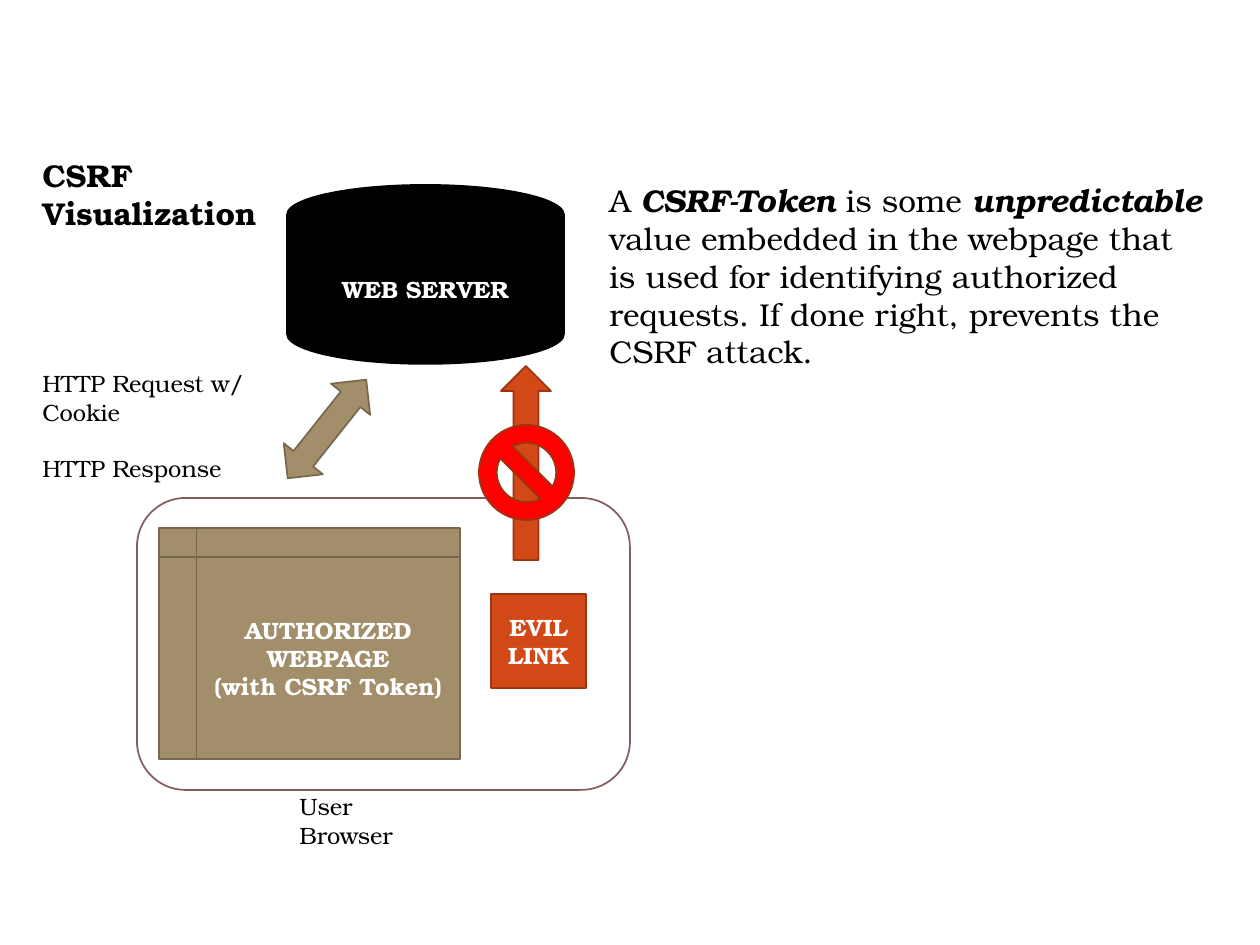
from dataclasses import dataclass

from pptx import Presentation
from pptx.dml.color import RGBColor
from pptx.enum.shapes import MSO_SHAPE as Shape
from pptx.enum.text import MSO_ANCHOR as Anchor, PP_ALIGN as Align
from pptx.util import Emu, Pt

PX_PER_INCH = 126


@dataclass(frozen=True)
class Theme:
    """Colours, font and type sizes of the slide."""
    font: str = "TeX Gyre Bonum"
    body: float = 13.5
    large: float = 18
    paragraph_gap: float = 16
    outline: float = 1
    black: str = "000000"
    white: str = "FFFFFF"
    tan: str = "A28E6A"
    tan_edge: str = "78694E"
    orange: str = "D34817"
    orange_edge: str = "9C3511"
    red: str = "FF0000"
    browser_edge: str = "855D5D"


THEME = Theme()
BOLD = {"bold": True}
TERM = {"bold": True, "italic": True}


def px(length):
    """Turn pixels into EMU."""
    return Emu(round(length * 914400 / PX_PER_INCH))


def write(frame, paragraphs, size, color, align=Align.LEFT):
    """Fill a text frame with paragraphs of (text, format) runs."""
    frame.word_wrap = True
    for index, runs in enumerate(paragraphs):
        paragraph = frame.add_paragraph() if index else frame.paragraphs[0]
        paragraph.alignment = align
        for text, style in runs:
            run = paragraph.add_run()
            run.text = text
            values = {"name": THEME.font, "size": Pt(size), **style}
            for key, value in values.items():
                setattr(run.font, key, value)
            run.font.color.rgb = RGBColor.from_string(color)


def add_figure(slide, kind, box, fill, edge, lines=(), rotation=0):
    """Add a filled preset shape with optional bold centred lines."""
    figure = slide.shapes.add_shape(kind, *map(px, box))
    figure.shadow.inherit = False
    figure.rotation = rotation
    figure.fill.solid()
    figure.fill.fore_color.rgb = RGBColor.from_string(fill)
    figure.line.color.rgb = RGBColor.from_string(edge)
    figure.line.width = Pt(THEME.outline)
    if lines:
        figure.text_frame.vertical_anchor = Anchor.MIDDLE
        paragraphs = [[(line, BOLD)] for line in lines]
        write(figure.text_frame, paragraphs, THEME.body, THEME.white, Align.CENTER)


def add_label(slide, box, paragraphs, size=THEME.body):
    """Add a black text box and return its text frame."""
    frame = slide.shapes.add_textbox(*map(px, box)).text_frame
    write(frame, paragraphs, size, THEME.black)
    return frame


def add_browser(slide):
    """Draw the browser with its webpage and evil link."""
    add_figure(slide, Shape.ROUNDED_RECTANGLE, (137, 498, 493, 292),
               THEME.white, THEME.browser_edge)
    add_figure(slide, Shape.RECTANGLE, (491, 594, 95, 94),
               THEME.orange, THEME.orange_edge, ["EVIL LINK"])
    add_figure(slide, Shape.FLOWCHART_INTERNAL_STORAGE, (159, 528, 301, 231),
               THEME.tan, THEME.tan_edge,
               ["AUTHORIZED WEBPAGE", "(with CSRF Token)"])
    add_label(slide, (287, 786, 155, 42), [[("User Browser", {})]])


def add_server_traffic(slide):
    """Draw the server and its exchange with the webpage."""
    add_figure(slide, Shape.FLOWCHART_MAGNETIC_DISK, (287, 185, 277, 179),
               THEME.black, THEME.black, ["WEB SERVER"])
    add_figure(slide, Shape.LEFT_RIGHT_ARROW, (264, 404, 126, 50),
               THEME.tan, THEME.tan_edge, rotation=308.5)
    exchange = add_label(slide, (30, 363, 263, 98),
                         [[("HTTP Request w/ Cookie", {})], [("HTTP Response", {})]])
    exchange.paragraphs[1].space_before = Pt(THEME.paragraph_gap)


def add_blocked_attack(slide):
    """Draw the evil request and the sign that blocks it."""
    add_figure(slide, Shape.UP_ARROW, (501, 366, 50, 194),
               THEME.orange, THEME.orange_edge)
    add_figure(slide, Shape.NO_SYMBOL, (479, 425, 95, 95),
               THEME.red, THEME.orange_edge)


def add_explanation(slide):
    """Write the title and the definition of the token."""
    add_label(slide, (597, 175, 621, 165), [[
        ("A ", {}), ("CSRF-Token", TERM), (" is some ", {}), ("unpredictable", TERM),
        (" value embedded in the webpage that is used for identifying authorized "
         "requests. If done right, prevents the CSRF attack.", {}),
    ]], THEME.large)
    add_label(slide, (30, 150, 265, 50), [[("CSRF Visualization", BOLD)]], THEME.large)


def main():
    """Build and save the slide."""
    deck = Presentation()
    deck.slide_width, deck.slide_height = px(1260), px(945)
    slide = deck.slides.add_slide(deck.slide_layouts[6])
    add_browser(slide)
    add_server_traffic(slide)
    add_explanation(slide)
    add_blocked_attack(slide)
    deck.save("out.pptx")


if __name__ == "__main__":
    main()
